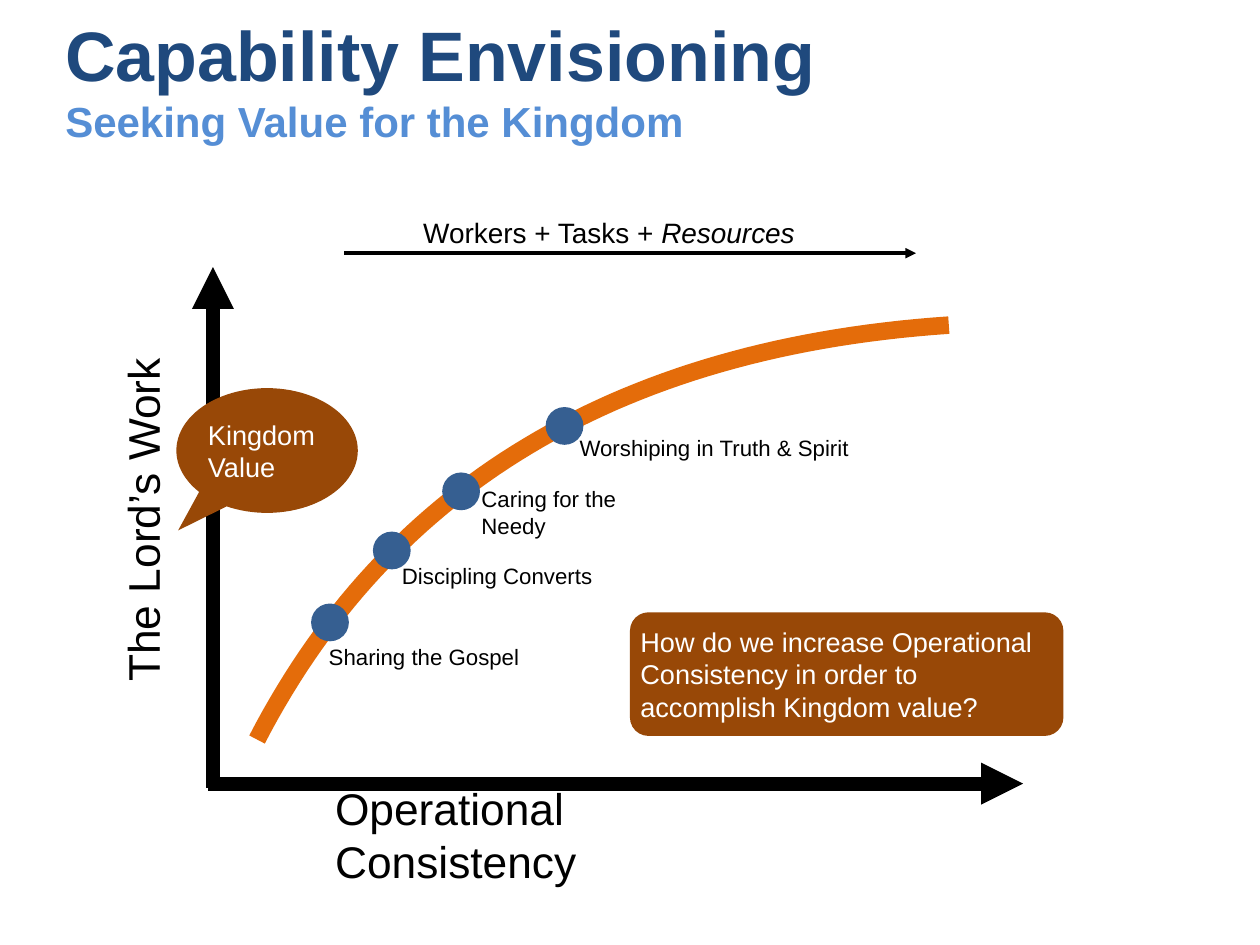
from pptx import Presentation
from pptx.dml.color import RGBColor
from pptx.enum.shapes import MSO_CONNECTOR as Connector, MSO_SHAPE as Preset
from pptx.enum.text import MSO_ANCHOR as Anchor, PP_ALIGN as Align
from pptx.oxml.ns import qn
from pptx.util import Pt
from lxml.etree import SubElement

BLACK, WHITE, BROWN, ORANGE = "000000", "FFFFFF", "984807", "E46C0A"
NAVY, SKY, STEEL = "1F497D", "558ED5", "365F91"
MARKER = 21.6
INSET = 2.88

STAGES = [
    ("Sharing the Gospel", (177.8, 344.9), (185, 365), 115.2),
    ("Discipling Converts", (213.1, 303.8), (226.8, 318.2), 115.2),
    ("Caring for the Needy", (252.7, 270), (272.2, 282.2), 123.1),
    ("Worshiping in Truth & Spirit", (311.8, 232.6), (328.3, 245.5), 160.6),
]
VALUE_CURVE = [(146.9, 422.6), (221.8, 277.9), (353.5, 198.7), (542.2, 185.8)]


def color(code):
    return RGBColor.from_string(code)


def style(paragraph, size, code, bold=False):
    paragraph.alignment = Align.LEFT
    font = paragraph.font
    font.name, font.size, font.bold = "Arial", Pt(size), bold
    font.color.rgb = color(code)


def set_frame(frame, wrap=True, inset=INSET):
    frame.word_wrap = wrap
    frame.vertical_anchor = Anchor.MIDDLE
    frame.margin_left = frame.margin_right = Pt(inset)
    frame.margin_top = frame.margin_bottom = Pt(inset)


def add_label(slide, box, text, size, wrap=False, italic_end=""):
    label = slide.shapes.add_textbox(*map(Pt, box))
    set_frame(label.text_frame, wrap)
    paragraph = label.text_frame.paragraphs[0]
    paragraph.add_run().text = text
    style(paragraph, size, BLACK)
    if italic_end:
        ending = paragraph.add_run()
        ending.text = italic_end
        ending.font.italic = True
    return label


def add_heading(slide):
    heading = slide.shapes.add_textbox(Pt(30.24), Pt(0), Pt(660.24), Pt(90))
    frame = heading.text_frame
    set_frame(frame)
    frame.margin_left = frame.margin_right = Pt(7.2)
    frame.text = "Capability Envisioning\nSeeking Value for the Kingdom"
    title, subtitle = frame.paragraphs
    style(title, 40, NAVY, bold=True)
    style(subtitle, 24, SKY, bold=True)


def add_arrow(slide, start, end, width):
    arrow = slide.shapes.add_connector(
        Connector.STRAIGHT, *map(Pt, (*start, *end)))
    arrow.line.color.rgb = color(BLACK)
    arrow.line.width = Pt(width)
    SubElement(arrow.line._get_or_add_ln(), qn("a:tailEnd"), type="triangle")
    SubElement(arrow._element.spPr, qn("a:effectLst"))


def add_filled(slide, preset, box, fill, adjustments=()):
    shape = slide.shapes.add_shape(preset, *map(Pt, box))
    shape.shadow.inherit = False
    shape.fill.solid()
    shape.fill.fore_color.rgb = color(fill)
    shape.line.fill.background()
    for index, value in enumerate(adjustments):
        shape.adjustments[index] = value
    return shape


def add_callout(slide, preset, box, text, adjustments):
    callout = add_filled(slide, preset, box, BROWN, adjustments)
    set_frame(callout.text_frame)
    callout.text_frame.text = text
    style(callout.text_frame.paragraphs[0], 15.5, WHITE)


def bezier_point(controls, t):
    weights = ((1 - t) ** 3, 3 * t * (1 - t) ** 2, 3 * t ** 2 * (1 - t), t ** 3)
    return tuple(Pt(sum(w * value for w, value in zip(weights, axis)))
                 for axis in zip(*controls))


def add_curve(slide, controls, steps=60):
    points = [bezier_point(controls, step / steps) for step in range(steps + 1)]
    builder = slide.shapes.build_freeform(*points[0])
    builder.add_line_segments(points[1:], close=False)
    curve = builder.convert_to_shape()
    curve.shadow.inherit = False
    curve.fill.background()
    curve.line.color.rgb = color(ORANGE)
    curve.line.width = Pt(10)


def main():
    deck = Presentation()
    deck.slide_width, deck.slide_height = Pt(720), Pt(540)
    slide = deck.slides.add_slide(deck.slide_layouts[6])

    add_heading(slide)
    add_arrow(slide, (118.8, 447.8), (584.6, 447.8), 8)
    add_arrow(slide, (121.7, 450), (121.7, 152.6), 8)
    add_label(slide, (188.6, 458.6, 257, 36), "Operational Consistency", 25.3, wrap=True)
    work_axis = add_label(slide, (-23.8, 269.3, 210.2, 36), "The Lord’s Work", 25.3, wrap=True)
    work_axis.rotation = 270

    add_arrow(slide, (196.6, 144.7), (523.4, 144.7), 2)
    add_label(slide, (239, 120.2, 221, 25.2), "Workers + Tasks + ", 16,
              italic_end="Resources")

    add_curve(slide, VALUE_CURVE)
    for stage, marker_at, label_at, label_width in STAGES:
        add_filled(slide, Preset.OVAL, (*marker_at, MARKER, MARKER), STEEL)
        add_label(slide, (*label_at, label_width, 20.9), stage, 12.7)

    add_callout(slide, Preset.OVAL_CALLOUT, (100.8, 221.8, 103.7, 71.3),
                "Kingdom Value", (-0.49, 0.64))
    add_callout(slide, Preset.ROUNDED_RECTANGLE, (360, 349.9, 247.7, 70.6),
                "How do we increase Operational Consistency in order to "
                "accomplish Kingdom value?", (0.15,))
    deck.save("out.pptx")


if __name__ == "__main__":
    main()
